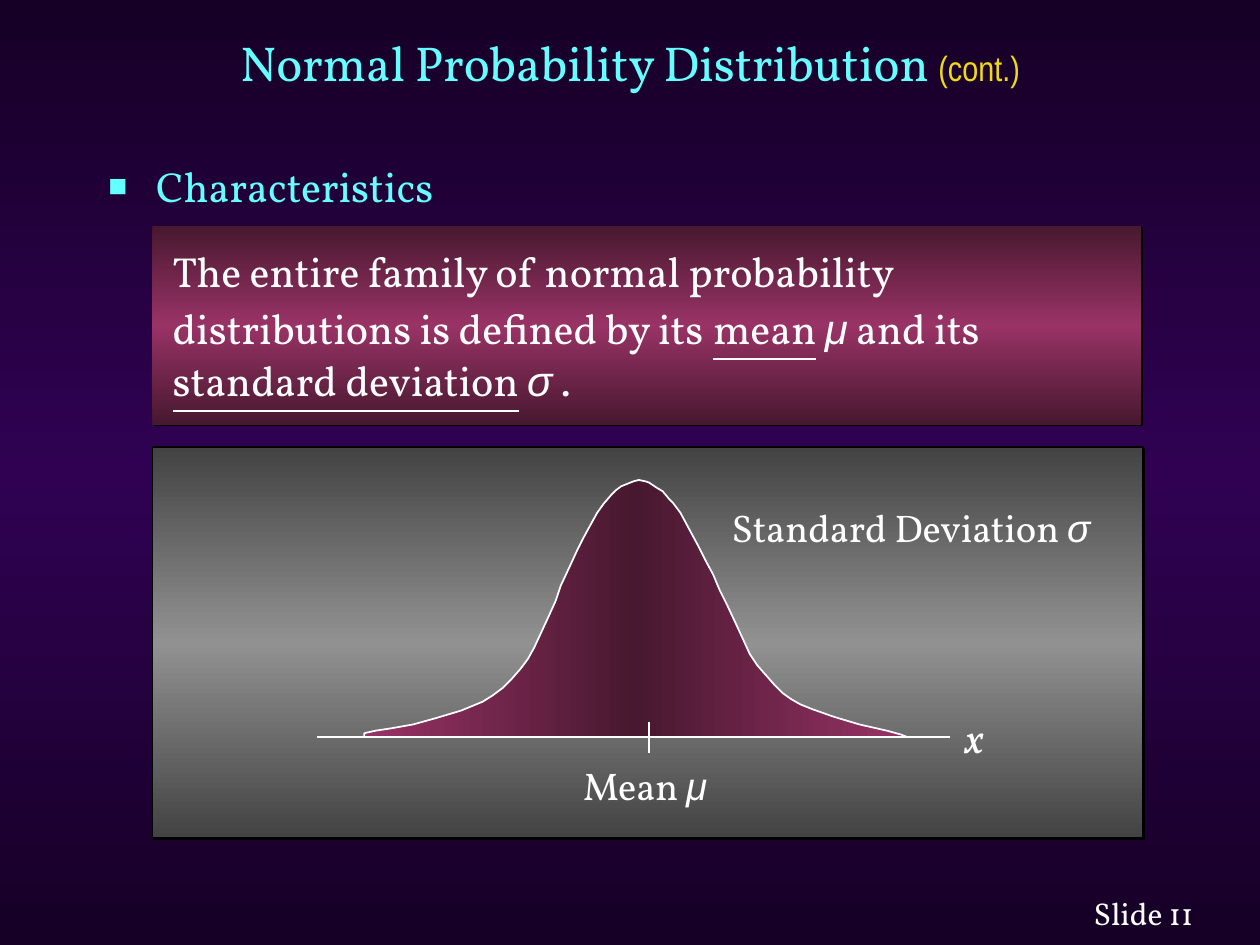
from dataclasses import dataclass

from lxml.etree import SubElement
from pptx import Presentation
from pptx.dml.color import RGBColor
from pptx.enum.shapes import MSO_CONNECTOR, MSO_SHAPE
from pptx.enum.text import MSO_ANCHOR as Anchor, MSO_AUTO_SIZE as AutoSize, PP_ALIGN as Align
from pptx.oxml.ns import qn
from pptx.util import Inches, Pt


@dataclass(frozen=True)
class Theme:
    serif: str = "Vollkorn"
    symbol: str = "Arial"
    narrow: str = "Arial Narrow"
    white: str = "FFFFFF"
    black: str = "000000"
    aqua: str = "66FFFF"
    yellow: str = "F0DB10"
    night: tuple = ("160026", "300153", "160026")
    steel: tuple = ("434343", "919191", "434343")
    plum: tuple = ("47182F", "993366", "47182F")
    bell: tuple = ("993366", "47182F", "993366")
    title: int = 28
    body: int = 24
    label: int = 22
    note: int = 20
    footer: int = 18


@dataclass(frozen=True)
class Box:
    left: float
    top: float
    width: float
    height: float

    def inner(self, left, top, width, height):
        return Box(self.left + left, self.top + top, width, height)

    def lengths(self):
        return [Inches(v) for v in (self.left, self.top, self.width, self.height)]


THEME = Theme()
LEFT_FLANK = [
    (0, 2.01), (0.09, 1.99), (0.22, 1.97), (0.39, 1.94), (0.57, 1.89), (0.77, 1.83),
    (0.94, 1.76), (1.02, 1.71), (1.1, 1.65), (1.17, 1.58), (1.24, 1.5), (1.3, 1.42),
    (1.35, 1.33), (1.41, 1.2), (1.47, 1.07), (1.52, 0.96), (1.56, 0.84), (1.63, 0.69),
    (1.69, 0.56), (1.74, 0.46), (1.8, 0.35), (1.85, 0.26), (1.9, 0.19), (1.96, 0.12),
    (2, 0.08), (2.04, 0.05), (2.09, 0.03), (2.14, 0.01), (2.18, 0),
]
RIGHT_FLANK = [
    (2.23, 0.01), (2.26, 0.02), (2.32, 0.06), (2.37, 0.09), (2.42, 0.15), (2.45, 0.18),
    (2.51, 0.26), (2.58, 0.39), (2.65, 0.52), (2.71, 0.64), (2.77, 0.75), (2.82, 0.87),
    (2.88, 0.99), (2.95, 1.14), (3.01, 1.27), (3.06, 1.38), (3.12, 1.47), (3.19, 1.55),
    (3.26, 1.63), (3.32, 1.69), (3.39, 1.74), (3.46, 1.78), (3.56, 1.82), (3.73, 1.88),
    (3.93, 1.94), (4.15, 1.99), (4.26, 2.02), (4.31, 2.04),
]


def set_gradient(fill, element, colors, angle):
    fill.gradient()
    fill.gradient_angle = angle
    stops = next(element.iter(qn("a:gsLst")))
    for stop in list(stops):
        stops.remove(stop)
    for index, color in enumerate(colors):
        stop = SubElement(stops, qn("a:gs"), pos=str(index * 50000))
        SubElement(stop, qn("a:srgbClr"), val=color)


def add_shadow(shape):
    effects = SubElement(shape._element.spPr, qn("a:effectLst"))
    shadow = SubElement(effects, qn("a:outerShdw"), dist=str(Pt(1.4)), dir="2700000",
                        algn="ctr", rotWithShape="0")
    SubElement(shadow, qn("a:srgbClr"), val=THEME.black)


def set_line(line, color, width):
    line.color.rgb = RGBColor.from_string(color)
    line.width = Pt(width)


def add_span(para, text, size, color=THEME.white, face=THEME.serif, italic=False, underline=False):
    span = para.add_run()
    span.text = text
    span.font.name = face
    span.font.size = Pt(size)
    span.font.italic = italic
    span.font.underline = underline
    span.font.color.rgb = RGBColor.from_string(color)


def add_symbol(para, text, size):
    add_span(para, text, size, face=THEME.symbol, italic=True)


def place(holder, box, anchor):
    holder.left, holder.top, holder.width, holder.height = box.lengths()
    frame = holder.text_frame
    frame.auto_size = AutoSize.NONE
    frame.vertical_anchor = anchor
    return frame.paragraphs[0]


def add_label(page, box, align=Align.CENTER):
    frame = page.shapes.add_textbox(*box.lengths()).text_frame
    frame.word_wrap = False
    para = frame.paragraphs[0]
    para.alignment = align
    return para


def add_panel(page, box, colors):
    panel = page.shapes.add_shape(MSO_SHAPE.RECTANGLE, *box.lengths())
    set_gradient(panel.fill, panel._element.spPr, colors, 90)
    panel.line.fill.background()
    add_shadow(panel)
    return panel


def add_rule(page, start, end, width):
    points = [Inches(v) for v in (*start, *end)]
    rule = page.shapes.add_connector(MSO_CONNECTOR.STRAIGHT, *points)
    set_line(rule.line, THEME.white, width)
    SubElement(rule._element.spPr, qn("a:effectLst"))


def fill_title(page, box):
    para = place(page.shapes.title, box, Anchor.MIDDLE)
    para.alignment = Align.CENTER
    add_span(para, "Normal Probability Distribution ", THEME.title, THEME.aqua)
    add_span(para, "(cont.)", THEME.note, THEME.yellow, THEME.narrow)


def fill_body(page, box):
    para = place(page.placeholders[1], box, Anchor.TOP)
    para.space_before = Pt(0)
    layout = para._p.get_or_add_pPr()
    layout.set("marL", str(Inches(0.38)))
    layout.set("indent", str(Inches(-0.38)))
    color = SubElement(layout, qn("a:buClr"))
    SubElement(color, qn("a:srgbClr"), val=THEME.aqua)
    SubElement(layout, qn("a:buSzPct"), val="75000")
    SubElement(layout, qn("a:buChar"), char="■")
    add_span(para, "Characteristics", THEME.body, THEME.aqua)


def draw_statement(page, box):
    frame = add_panel(page, box, THEME.plum).text_frame
    frame.word_wrap = True
    frame.margin_left = Inches(0.16)
    frame.vertical_anchor = Anchor.MIDDLE
    first, second, third = frame.paragraphs[0], frame.add_paragraph(), frame.add_paragraph()
    for para in (first, second, third):
        para.alignment = Align.LEFT
    size = THEME.body
    add_span(first, "The entire family of normal probability", size)
    add_span(second, "distributions is defined by its", size)
    add_span(second, " ", THEME.title)
    add_span(second, "mean", size, underline=True)
    add_span(second, " ", size)
    add_symbol(second, "μ", size)
    add_span(second, " and its", size)
    add_span(third, "standard deviation", size, underline=True)
    add_span(third, " ", size)
    add_symbol(third, "σ", size)
    add_span(third, " .", size)


def draw_bell(page, box):
    outline = [(0, box.height), *LEFT_FLANK, *RIGHT_FLANK]
    points = [(Inches(box.left + x), Inches(box.top + y)) for x, y in outline]
    builder = page.shapes.build_freeform(*points[0])
    builder.add_line_segments(points[1:], close=True)
    bell = builder.convert_to_shape()
    bell.shadow.inherit = False
    set_gradient(bell.fill, bell._element.spPr, THEME.bell, 0)
    set_line(bell.line, THEME.white, 1)


def draw_curve_panel(page, box):
    panel = add_panel(page, box, THEME.steel)
    set_line(panel.line, THEME.black, 1)
    axis = box.top + 2.3
    mean = box.left + 3.94
    add_rule(page, (box.left + 1.31, axis), (box.left + 6.33, axis), 1.5)
    draw_bell(page, box.inner(1.68, 0.26, 4.31, 2.04))
    add_rule(page, (mean, axis - 0.12), (mean, axis + 0.13), 1)
    for text, symbol, spot in (
        ("Standard Deviation ", "σ", box.inner(4.47, 0.4, 3.1, 0.47)),
        ("Mean ", "μ", box.inner(3.3, 2.45, 1.22, 0.47)),
    ):
        para = add_label(page, spot)
        add_span(para, text, THEME.label)
        add_symbol(para, symbol, THEME.label)
    add_span(add_label(page, box.inner(6.34, 2.05, 0.37, 0.5)), "x", THEME.body, italic=True)


def draw_footer(page, box):
    add_span(add_label(page, box, Align.RIGHT), "Slide 11", THEME.footer)


def main():
    deck = Presentation()
    deck.slide_width, deck.slide_height = Inches(10), Inches(7.5)
    page = deck.slides.add_slide(deck.slide_layouts[1])
    set_gradient(page.background.fill, page._element, THEME.night, 90)
    fill_title(page, Box(0.75, 0.12, 8.5, 0.75))
    fill_body(page, Box(0.76, 1.22, 3.91, 0.5))
    draw_statement(page, Box(1.21, 1.79, 7.85, 1.58))
    draw_curve_panel(page, Box(1.21, 3.55, 7.86, 3.1))
    draw_footer(page, Box(8.07, 7.05, 1.5, 0.4))
    deck.save("out.pptx")


if __name__ == "__main__":
    main()
